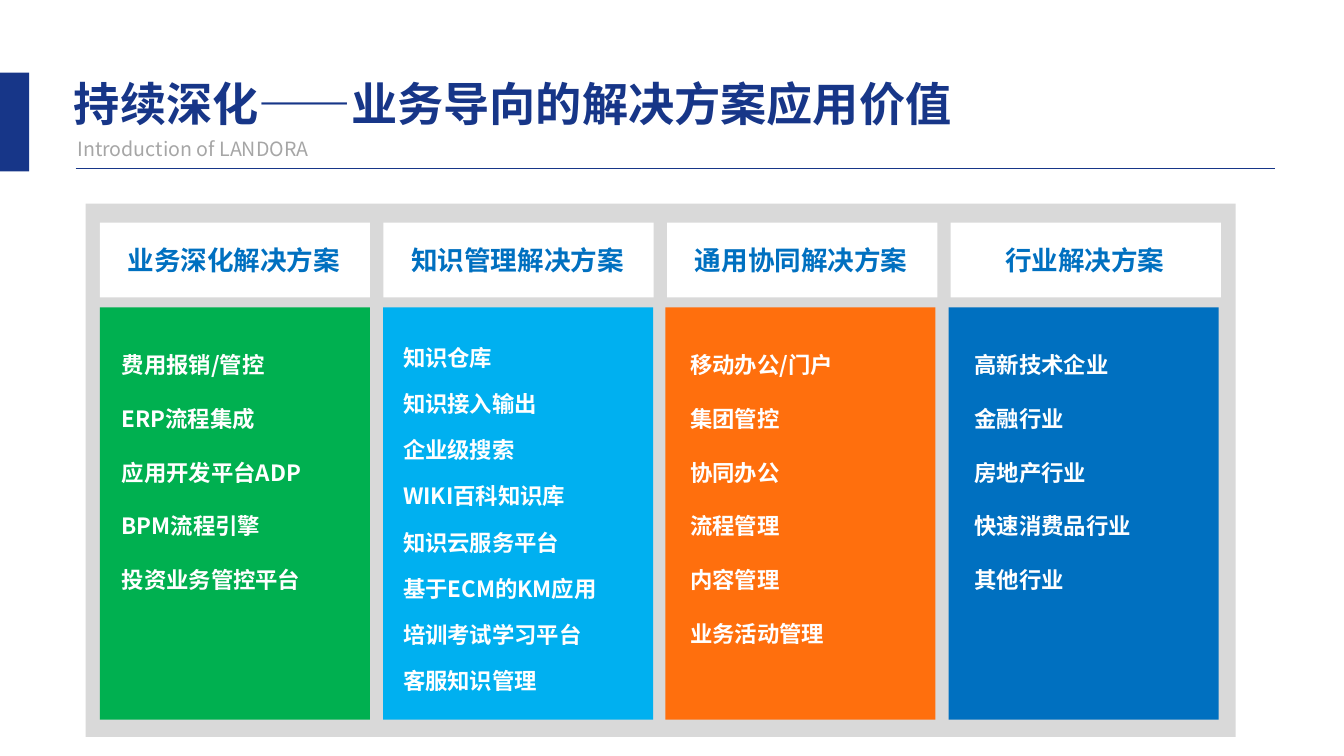
from pptx import Presentation
from pptx.dml.color import RGBColor
from pptx.enum.shapes import MSO_CONNECTOR as Connector, MSO_SHAPE as Shape
from pptx.enum.text import MSO_ANCHOR as Anchor, MSO_AUTO_SIZE as AutoSize, PP_ALIGN as Align
from pptx.oxml.ns import qn
from pptx.util import Pt
from lxml.etree import SubElement

TITLE = "持续深化——业务导向的解决方案应用价值"
SUBTITLE = "Introduction of LANDORA"
SOLUTIONS = [
    ("业务深化解决方案", "00B050", 71.3, 79.9, 2.0,
     ["费用报销/管控", "ERP流程集成", "应用开发平台ADP", "BPM流程引擎", "投资业务管控平台"]),
    ("知识管理解决方案", "00B0F0", 273.6, 280.8, Pt(33),
     ["知识仓库", "知识接入输出", "企业级搜索", "WIKI百科知识库", "知识云服务平台",
      "基于ECM的KM应用", "培训考试学习平台", "客服知识管理"]),
    ("通用协同解决方案", "FF6F0D", 475.2, 486, 2.0,
     ["移动办公/门户", "集团管控", "协同办公", "流程管理", "内容管理", "业务活动管理"]),
    ("行业解决方案", "0070C0", 677.5, 689, 2.0,
     ["高新技术企业", "金融行业", "房地产行业", "快速消费品行业", "其他行业"]),
]
NAVY, GREY, WHITE, BLUE = "173688", "D9D9D9", "FFFFFF", "0070C0"
CJK = "Noto Sans CJK SC"
COLUMN_WIDTH = 193
HEADER_LEFT, HEADER_STEP = 71.3, 202.6
COLUMN_INSETS = (7.2, 4.3, 8.6, 4.3)


def color(target, value):
    target.rgb = RGBColor.from_string(value)


def add_block(page, left, top, width, height, fill):
    block = page.shapes.add_shape(Shape.RECTANGLE, Pt(left), Pt(top), Pt(width), Pt(height))
    block.shadow.inherit = False
    block.fill.solid()
    color(block.fill.fore_color, fill)
    block.line.fill.background()
    return block


def add_box(page, left, top, width, height):
    return page.shapes.add_textbox(Pt(left), Pt(top), Pt(width), Pt(height))


def write(box, lines, size, font, ink, bold=True, insets=COLUMN_INSETS, wrap=False,
          align=Align.LEFT, spacing=None):
    frame = box.text_frame
    frame.word_wrap = wrap
    frame.margin_left, frame.margin_top, frame.margin_right, frame.margin_bottom = map(Pt, insets)
    frame.text = "\n".join(lines)
    for para in frame.paragraphs:
        para.alignment = align
        para.line_spacing = spacing
        para.font.size = Pt(size)
        para.font.bold = bold
        para.font.name = font
        color(para.font.color, ink)
    return frame


deck = Presentation()
deck.slide_width, deck.slide_height = Pt(960), Pt(540)
page = deck.slides.add_slide(deck.slide_layouts[6])

title = write(add_box(page, 43.2, 49, 753.8, 49.7), [TITLE], 33, CJK, NAVY,
              insets=(9.6, 4.8, 9.6, 4.8), wrap=True)
subtitle = write(add_box(page, 48.2, 94.3, 412.6, 24.5), [SUBTITLE], 14, CJK, "A6A6A6",
                 bold=False, insets=(7.2, 3.6, 7.2, 3.6), wrap=True)
for frame in (title, subtitle):
    frame.auto_size = AutoSize.SHAPE_TO_FIT_TEXT

add_block(page, 0, 51.8, 20.9, 70.6, NAVY)
rule = page.shapes.add_connector(Connector.STRAIGHT, Pt(54), Pt(120.2), Pt(910.8), Pt(120.2))
rule.line.width = Pt(0.5)
color(rule.line.color, NAVY)
SubElement(rule._element.spPr, qn("a:effectLst"))

add_block(page, 61.2, 145.4, 821.5, 380.9, GREY)
for index, (heading, fill, panel_left, list_left, spacing, items) in enumerate(SOLUTIONS):
    header = add_block(page, HEADER_LEFT + index * HEADER_STEP, 159.1, COLUMN_WIDTH, 53.3, WHITE)
    write(header, [heading], 19, "Arial", BLUE, align=Align.CENTER)
    header.text_frame.vertical_anchor = Anchor.MIDDLE
    add_block(page, panel_left, 219.6, COLUMN_WIDTH, 294.5, fill)
    write(add_box(page, list_left, 227.5, COLUMN_WIDTH, 272.2), items, 16, CJK, WHITE,
          spacing=spacing)

deck.save("out.pptx")
